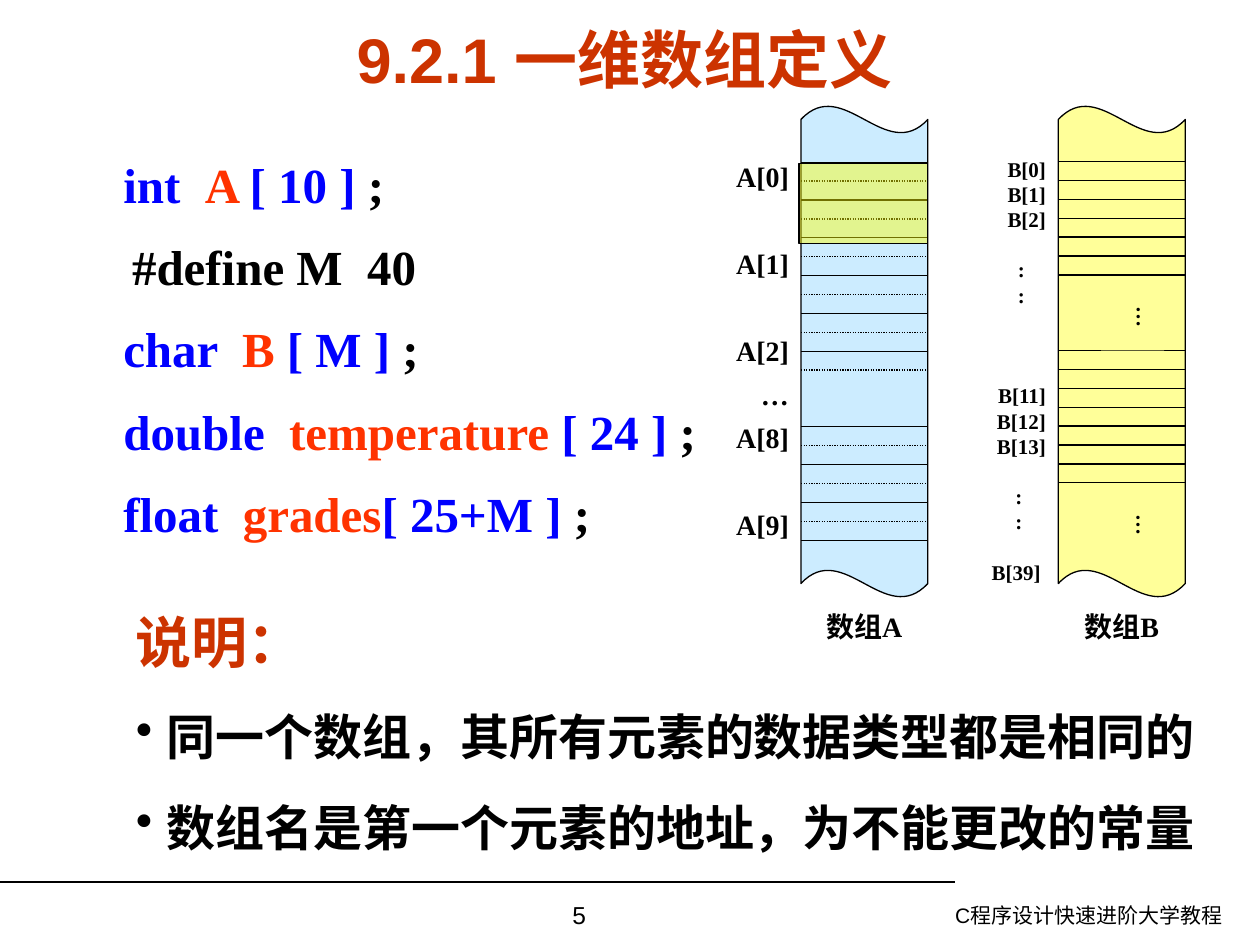
"""Build the slide on defining one-dimensional arrays in C."""
from dataclasses import dataclass
from typing import Optional

import lxml.etree
import pptx
import pptx.dml.color
import pptx.enum.dml
import pptx.enum.shapes
import pptx.enum.text
import pptx.oxml.ns
import pptx.util

Pt = pptx.util.Pt
qn = pptx.oxml.ns.qn
Align = pptx.enum.text.PP_ALIGN
Preset = pptx.enum.shapes.MSO_SHAPE


@dataclass(frozen=True)
class Theme:
    sans: str = "Arial"
    serif: str = "Times New Roman"
    ink: str = "000000"
    accent: str = "CC3300"
    keyword: str = "0000FF"
    identifier: str = "FF3300"
    array_a: str = "CCECFF"
    array_b: str = "FFFF99"
    highlight: str = "FFFF00"
    title_size: float = 36
    heading_size: float = 32
    body_size: float = 28
    label_size: float = 16
    number_size: float = 14
    small_size: float = 12
    stroke: float = 0.75


THEME = Theme()


@dataclass(frozen=True)
class Box:
    left: float
    top: float
    width: float
    height: float


@dataclass(frozen=True)
class Style:
    size: float
    font: str = THEME.serif
    bold: bool = True
    pitch: Optional[float] = None


@dataclass(frozen=True)
class Line:
    runs: tuple[tuple[str, str], ...]
    align: Align = Align.LEFT
    gap: float = 0
    indent: float = 0
    bullet: bool = False
    style: Optional[Style] = None


@dataclass(frozen=True)
class Memory:
    left: float
    first_row: float
    fill: str
    rows: tuple[int, ...]
    dotted: tuple[int, ...]
    caption: str


SMALL = Style(THEME.small_size)
LABEL = Style(THEME.label_size)
BAR_WIDTH, BAR_TOP, BAR_HEIGHT, ROW_PITCH = 72.5, 60.5, 280.8, 10.8
WAVE_DEPTH = 7.8


def plain(text: str, align: Align = Align.LEFT, **options) -> Line:
    """Return a line of one black run."""
    return Line(((text, THEME.ink),), align, **options)


def place(shape, box: Box) -> None:
    """Move and size a shape."""
    shape.left, shape.top = Pt(box.left), Pt(box.top)
    shape.width, shape.height = Pt(box.width), Pt(box.height)


def write(frame, lines: list[Line], style: Style) -> None:
    """Fill a text frame with formatted lines."""
    frame.word_wrap = True
    for index, line in enumerate(lines):
        look = line.style or style
        paragraph = frame.add_paragraph() if index else frame.paragraphs[0]
        paragraph.alignment = line.align
        if look.pitch:
            paragraph.line_spacing = Pt(look.pitch)
        if line.gap:
            paragraph.space_before = Pt(line.gap)
        properties = paragraph._p.get_or_add_pPr()
        if line.indent:
            properties.set("marL", str(Pt(line.indent)))
        if line.bullet:
            properties.set("indent", str(-Pt(line.indent)))
            lxml.etree.SubElement(properties, qn("a:buChar")).set("char", "•")
        for text, color in line.runs:
            run = paragraph.add_run()
            run.text = text
            run.font.size, run.font.name, run.font.bold = Pt(look.size), look.font, look.bold
            run.font.color.rgb = pptx.dml.color.RGBColor.from_string(color)


def add_text(slide, box: Box, lines: list[Line], style: Style) -> None:
    """Add a wrapped text box."""
    shape = slide.shapes.add_textbox(*map(Pt, (box.left, box.top, box.width, box.height)))
    write(shape.text_frame, lines, style)


def add_block(slide, preset: Preset, box: Box, fill: str, outlined: bool = True):
    """Add a filled preset shape."""
    shape = slide.shapes.add_shape(preset, *map(Pt, (box.left, box.top, box.width, box.height)))
    shape.shadow.inherit = False
    shape.fill.solid()
    shape.fill.fore_color.rgb = pptx.dml.color.RGBColor.from_string(fill)
    if outlined:
        shape.line.color.rgb = pptx.dml.color.RGBColor.from_string(THEME.ink)
        shape.line.width = Pt(THEME.stroke)
    else:
        shape.line.fill.background()
    return shape


def add_rule(slide, left: float, right: float, y: float, dotted: bool = False) -> None:
    """Add a thin horizontal line."""
    rule = slide.shapes.add_connector(
        pptx.enum.shapes.MSO_CONNECTOR.STRAIGHT, Pt(left), Pt(y), Pt(right), Pt(y))
    rule.line.color.rgb = pptx.dml.color.RGBColor.from_string(THEME.ink)
    rule.line.width = Pt(THEME.stroke)
    if dotted:
        rule.line.dash_style = pptx.enum.dml.MSO_LINE.ROUND_DOT
    lxml.etree.SubElement(rule._element.spPr, qn("a:effectLst"))


def add_memory(slide, memory: Memory) -> None:
    """Draw a wavy memory strip with its cell lines and caption."""
    bar = add_block(slide, Preset.WAVE, Box(memory.left, BAR_TOP, BAR_WIDTH, BAR_HEIGHT), memory.fill)
    bar.adjustments[0] = WAVE_DEPTH / BAR_HEIGHT
    for row in memory.rows:
        add_rule(slide, memory.left, memory.left + BAR_WIDTH,
                 memory.first_row + row * ROW_PITCH, row in memory.dotted)
    add_text(slide, Box(memory.left, 344.9, BAR_WIDTH, 32.4),
             [plain(memory.caption, Align.CENTER)], LABEL)


def add_ellipsis(slide, box: Box) -> None:
    """Cover part of a strip with a vertical ellipsis."""
    cover = add_block(slide, Preset.RECTANGLE, box, THEME.array_b, outlined=False)
    frame = cover.text_frame
    frame.vertical_anchor = pptx.enum.text.MSO_ANCHOR.TOP
    frame.margin_left = frame.margin_right = Pt(3.6)
    frame.margin_top = frame.margin_bottom = Pt(7.2)
    frame._txBody.bodyPr.set("vert", "eaVert")
    write(frame, [plain("…")], SMALL)


def declaration(type_name: str, name: str, bounds: str) -> Line:
    """Return one coloured array declaration."""
    return Line(((type_name, THEME.keyword), (name, THEME.identifier),
                 (bounds, THEME.keyword), (" ;", THEME.ink)), indent=72)


def main() -> None:
    """Build and save the slide."""
    deck = pptx.Presentation()
    deck.slide_width, deck.slide_height = Pt(720), Pt(540)
    slide = deck.slides.add_slide(deck.slide_layouts[5])
    title = slide.shapes.title
    place(title, Box(31, 15.1, 651.6, 36))
    title.text_frame.vertical_anchor = pptx.enum.text.MSO_ANCHOR.MIDDLE
    write(title.text_frame, [Line((("9.2.1 一维数组定义", THEME.accent),), Align.CENTER)],
          Style(THEME.title_size, THEME.sans))

    add_rule(slide, 0, 545.8, 504)
    add_text(slide, Box(473, 511.9, 232.6, 28.1), [plain("C程序设计快速进阶大学教程", Align.RIGHT)],
             Style(THEME.small_size, THEME.sans, False))
    add_text(slide, Box(247, 510.5, 167.8, 29.5), [plain("5", Align.CENTER)],
             Style(THEME.number_size, THEME.sans, False))

    add_text(slide, Box(-8.6, 71.3, 470.9, 337), [
        declaration("int  ", "A ", "[ 10 ]"),
        plain("#define M  40", indent=77),
        declaration("char  ", "B ", "[ M ]"),
        declaration("double ", " temperature ", "[ 24 ]"),
        declaration("float ", " grades", "[ 25+M ]"),
    ], Style(THEME.body_size, pitch=47))

    add_memory(slide, Memory(604.8, 92.3, THEME.array_b, (*range(7), *range(10, 18)), (), "数组B"))
    add_ellipsis(slide, Box(629.3, 167.8, 36, 32.4))
    add_ellipsis(slide, Box(617, 286.6, 48.2, 32.4))
    pitch = 14.4
    b_labels = [
        *(plain(f"B[{i}]", Align.RIGHT) for i in range(3)),
        plain(":", Align.CENTER, gap=pitch, indent=6),
        plain(":", Align.CENTER, indent=6),
        plain("B[11]", Align.RIGHT, gap=3 * pitch),
        *(plain(f"B[{i}]", Align.RIGHT) for i in (12, 13)),
        plain(":", Align.CENTER, gap=pitch, indent=3),
        plain(":", Align.CENTER, indent=3),
        plain("B[39]", Align.CENTER, gap=pitch),
    ]
    add_text(slide, Box(556.6, 85.7, 48.2, 216), b_labels, Style(THEME.small_size, pitch=pitch))

    add_text(slide, Box(70.6, 343.4, 649.4, 199.4), [
        Line((("说明：", THEME.accent),), style=Style(THEME.heading_size, pitch=38.5)),
        *(plain(text, gap=17.5, indent=17.6, bullet=True) for text in (
            "同一个数组，其所有元素的数据类型都是相同的",
            "数组名是第一个元素的地址，为不能更改的常量")),
    ], Style(THEME.body_size, THEME.sans, pitch=34.5))

    add_memory(slide, Memory(457.7, 92.7, THEME.array_a, (*range(12), *range(14, 21)),
                             tuple(range(1, 20, 2)), "数组A"))
    near, far = 3.9, 28.8
    a_labels = (("A[0]", 0), ("A[1]", far), ("A[2]", far), ("…", near), ("A[8]", near), ("A[9]", far))
    add_text(slide, Box(409.7, 85.7, 48.2, 237.6),
             [plain(text, Align.RIGHT, gap=gap) for text, gap in a_labels],
             Style(THEME.label_size, pitch=21))
    first_cell = add_block(slide, Preset.RECTANGLE, Box(456.5, 93.6, 73.4, 45.4), THEME.highlight)
    color = first_cell.fill._xPr.find(qn("a:solidFill"))[0]
    lxml.etree.SubElement(color, qn("a:alpha")).set("val", "44000")

    deck.save("out.pptx")


if __name__ == "__main__":
    main()
